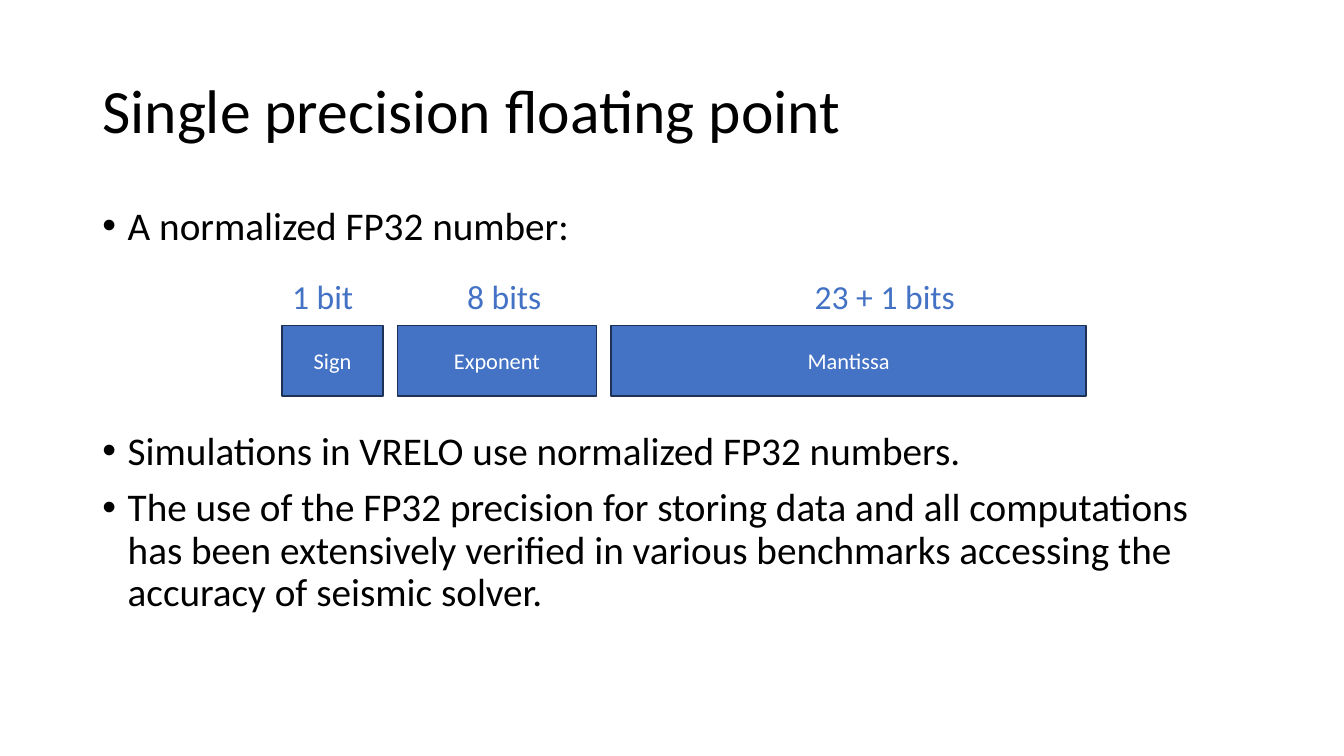
from dataclasses import dataclass

from lxml import etree
from pptx import Presentation
from pptx import util as u
from pptx.dml.color import RGBColor
from pptx.enum import shapes, text
from pptx.oxml import ns

BLACK = RGBColor(0x00, 0x00, 0x00)
WHITE = RGBColor(0xFF, 0xFF, 0xFF)
BLUE = RGBColor(0x44, 0x72, 0xC4)
NAVY = RGBColor(0x1E, 0x32, 0x56)
FONT = "Calibri"

MARGIN = 2.33
FIELDS_LEFT, FIELDS_TOP, FIELD_HEIGHT, FIELD_GAP = 7.11, 8.2, 1.78, 0.37
LABEL_TOP, LABEL_HEIGHT, LABEL_WIDTH = 6.82, 1.27, 5


@dataclass
class Field:
    name: str
    width: float
    bits: str
    label_left: float


@dataclass
class Bullet:
    wording: str
    space_before: float = 10


FIELDS = [
    Field("Sign", 2.54, "1 bit", 7.11),
    Field("Exponent", 5.01, "8 bits", 11.52),
    Field("Mantissa", 11.97, "23 + 1 bits", 20.28),
]

# The second bullet leaves room for the bit diagram
BULLETS = [
    Bullet("A normalized FP32 number:"),
    Bullet("Simulations in VRELO use normalized FP32 numbers.", 130.5),
    Bullet("The use of the FP32 precision for storing data and all computations has been "
           "extensively verified in various benchmarks accessing the accuracy of seismic solver."),
]


def format_runs(paragraph, size: float, color: RGBColor) -> None:
    for run in paragraph.runs:
        run.font.name = FONT
        run.font.size = u.Pt(size)
        run.font.color.rgb = color


def add_text(slide, left: float, top: float, width: float, height: float,
             wording: str, size: float, color: RGBColor):
    shape = slide.shapes.add_textbox(u.Cm(left), u.Cm(top), u.Cm(width), u.Cm(height))
    shape.text_frame.word_wrap = True
    shape.text_frame.text = wording
    for paragraph in shape.text_frame.paragraphs:
        format_runs(paragraph, size, color)
    return shape


def format_bullet(paragraph, space_before: float) -> None:
    paragraph.line_spacing = 0.9
    paragraph.space_before = u.Pt(space_before)
    properties = paragraph._p.get_or_add_pPr()
    indent = u.Cm(0.64)
    properties.set("marL", str(indent))
    properties.set("indent", str(-indent))
    etree.SubElement(properties, ns.qn("a:buFont")).set("typeface", "Arial")
    etree.SubElement(properties, ns.qn("a:buChar")).set("char", "•")


def add_field(slide, field: Field, left: float) -> None:
    shape = slide.shapes.add_shape(
        shapes.MSO_SHAPE.RECTANGLE, u.Cm(left), u.Cm(FIELDS_TOP),
        u.Cm(field.width), u.Cm(FIELD_HEIGHT))
    shape.shadow.inherit = False
    shape.fill.solid()
    shape.fill.fore_color.rgb = BLUE
    shape.line.color.rgb = NAVY
    shape.line.width = u.Pt(1)
    shape.text_frame.text = field.name
    shape.text_frame.vertical_anchor = text.MSO_ANCHOR.MIDDLE
    paragraph = shape.text_frame.paragraphs[0]
    paragraph.alignment = text.PP_ALIGN.CENTER
    format_runs(paragraph, 16, WHITE)
    add_text(slide, field.label_left, LABEL_TOP, LABEL_WIDTH, LABEL_HEIGHT,
             field.bits, 24, BLUE)


def main() -> None:
    presentation = Presentation()
    presentation.slide_width = u.Cm(33.87)
    presentation.slide_height = u.Cm(19.05)
    slide = presentation.slides.add_slide(presentation.slide_layouts[6])

    # Title
    title = add_text(slide, MARGIN, 1.02, 19.53, 3.68,
                     "Single precision floating point", 44, BLACK)
    title.text_frame.vertical_anchor = text.MSO_ANCHOR.MIDDLE
    title.text_frame.paragraphs[0].line_spacing = 0.9

    # Bullets
    wording = "\n".join(bullet.wording for bullet in BULLETS)
    body = add_text(slide, MARGIN, 5.08, 29.21, 12.09, wording, 28, BLACK)
    for paragraph, bullet in zip(body.text_frame.paragraphs, BULLETS):
        format_bullet(paragraph, bullet.space_before)

    # Bit diagram
    left = FIELDS_LEFT
    for field in FIELDS:
        add_field(slide, field, left)
        left += field.width + FIELD_GAP

    presentation.save("out.pptx")


if __name__ == "__main__":
    main()
